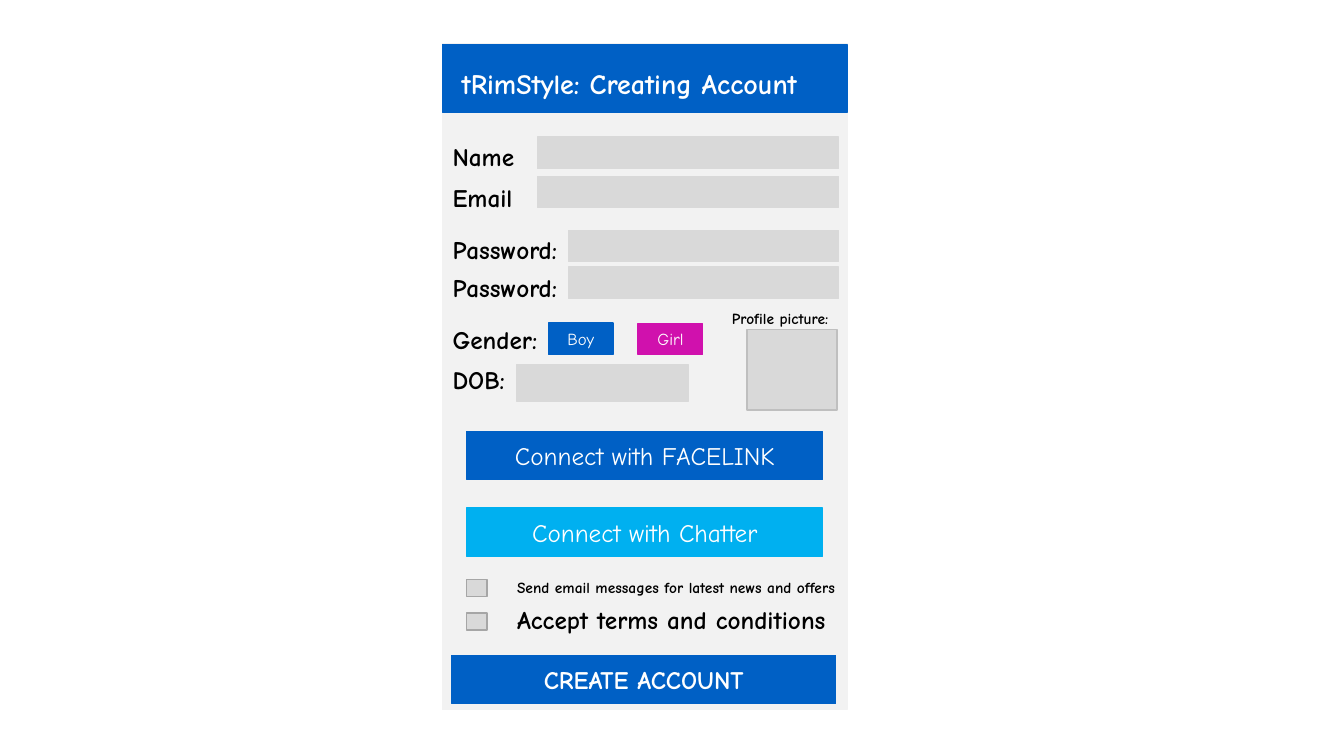
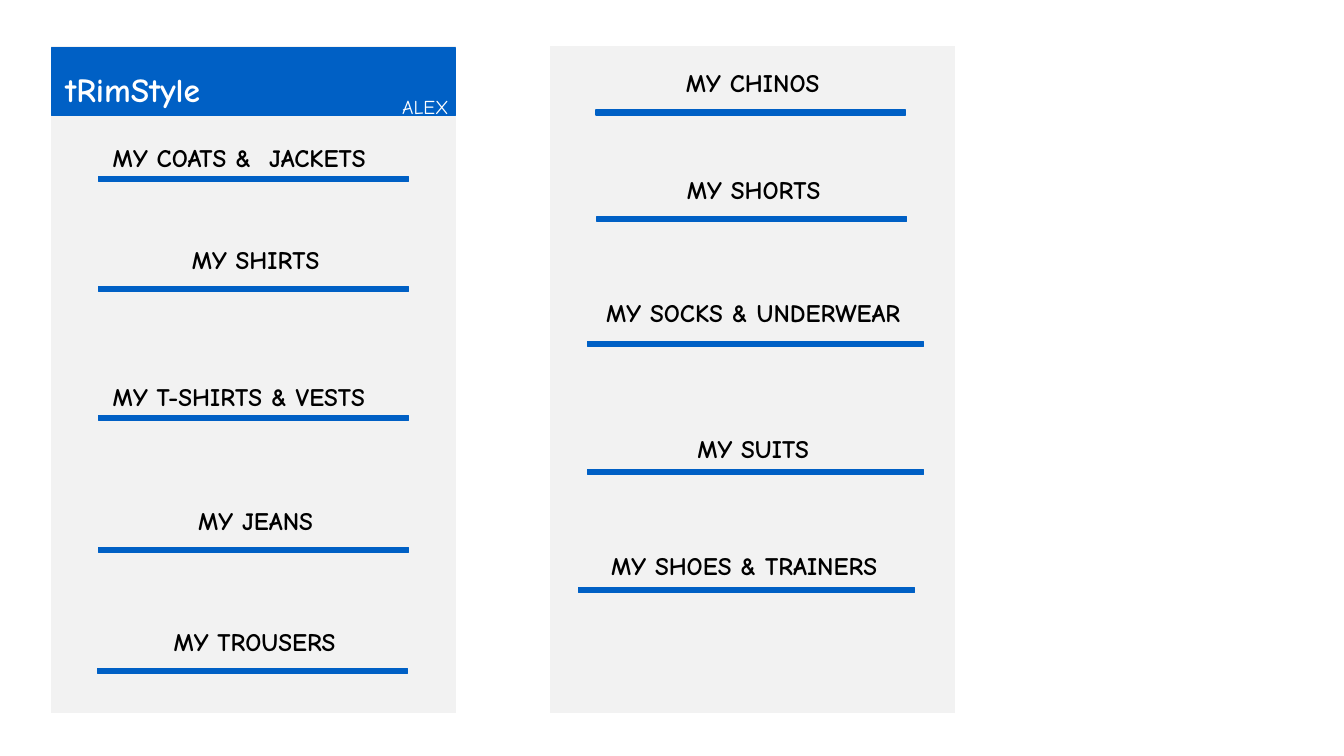
from pptx import Presentation
from pptx.dml.color import RGBColor
from pptx.enum.shapes import MSO_SHAPE as Preset
from pptx.enum.text import MSO_ANCHOR as Anchor, PP_ALIGN as Align
from pptx.util import Inches, Pt

# Shared look; every length below is in grid units of a tenth of an inch
UNIT = 0.1
FONT = "Comic Neue"
BLUE, SKY, PINK = "0060C5", "00B0F0", "D011AD"
PANEL, FIELD, WHITE, BLACK = "F2F2F2", "D9D9D9", "FFFFFF", "000000"
PANEL_WIDTH, PANEL_HEIGHT = 40.1, 66.1
APP_NAME = "tRimStyle"

# Section layouts: label shift from the bar, label width, bar width
NARROW = (0.4, 30.3, 30.7)
WIDE = (-1.2, 35.2, 33.3)


def color(hex_value):
    return RGBColor.from_string(hex_value)


def grid(*lengths):
    return [Inches(length * UNIT) for length in lengths]


def write(shape, text, size, ink, bold, align):
    paragraph = shape.text_frame.paragraphs[0]
    paragraph.alignment = align
    run = paragraph.add_run()
    run.text = text
    run.font.name = FONT
    run.font.size = Pt(size)
    run.font.bold = bold
    run.font.color.rgb = color(ink)


class Panel:
    """A phone screen whose parts are placed from its top left corner."""

    def __init__(self, slide, left, top):
        self.slide, self.left, self.top = slide, left, top
        self.block(0, 0, PANEL_WIDTH, PANEL_HEIGHT, PANEL)

    def place(self, x, y, width, height):
        return grid(self.left + x, self.top + y, width, height)

    def block(self, x, y, width, height, fill, line=None):
        shape = self.slide.shapes.add_shape(Preset.RECTANGLE, *self.place(x, y, width, height))
        shape.shadow.inherit = False
        shape.fill.solid()
        shape.fill.fore_color.rgb = color(fill)
        shape.line.color.rgb = color(line or fill)
        shape.line.width = Pt(1)
        return shape

    def button(self, x, y, width, height, fill, text, size=18, bold=False):
        shape = self.block(x, y, width, height, fill)
        shape.text_frame.vertical_anchor = Anchor.MIDDLE
        write(shape, text, size, WHITE, bold, Align.CENTER)

    def label(self, x, y, text, width=30.3, size=18, ink=BLACK, bold=True, align=Align.LEFT):
        height = 1 + size / 6
        box = self.slide.shapes.add_textbox(*self.place(x, y, width, height))
        box.text_frame.word_wrap = True
        write(box, text, size, ink, bold, align)

    def header(self, x, y, title, size):
        self.block(0, 0.15, PANEL_WIDTH, 6.7, BLUE)
        self.label(x, y, title, PANEL_WIDTH, size, WHITE)


def account_form(slide, left, top):
    form = Panel(slide, left, top)
    form.header(0.9, 1.85, f"{APP_NAME}: Creating Account", 20)

    # Labelled fields: label row, field column, field row, width, height
    right_edge = 39.25
    for text, row, field_x, field_y in (
        ("Name", 9.2, 9.4, 9.3),
        ("Email", 13.3, 9.4, 13.2),
        ("Password:", 18.5, 12.5, 18.55),
        ("Password:", 22.2, 12.5, 22.2),
    ):
        form.label(0, row, text)
        form.block(field_x, field_y, right_edge - field_x, 3.1, FIELD)

    # Gender and date of birth
    form.label(0, 27.4, "Gender:")
    form.button(10.5, 27.75, 6.4, 3.1, BLUE, "Boy", 12)
    form.button(19.4, 27.8, 6.4, 3.1, PINK, "Girl", 12)
    form.label(0, 31.4, "DOB:")
    form.block(7.3, 31.9, 17.1, 3.6, FIELD)

    # Profile picture
    form.block(30.2, 28.4, 8.9, 8, FIELD, "BFBFBF")
    form.label(27.7, 25.9, "Profile picture:", size=11)

    # Social sign-in
    form.button(2.4, 38.5, 35.3, 4.8, BLUE, "Connect with FACELINK")
    form.button(2.4, 46.1, 35.3, 4.8, SKY, "Connect with Chatter")

    # Consent
    for box_y, text_y, text, size in (
        (53.2, 52.6, "Send email messages for latest news and offers", 11),
        (56.5, 55.2, "Accept terms and conditions", 18),
    ):
        form.block(2.4, box_y, 2, 1.7, FIELD, "A6A6A6")
        form.label(6.4, text_y, text, 39, size)
    form.button(0.9, 60.7, 38.1, 4.8, BLUE, "CREATE ACCOUNT", bold=True)


def wardrobe(slide, left, top, sections):
    panel = Panel(slide, left, top)
    for text, label_y, bar_x, bar_y, layout, align in sections:
        shift, label_width, bar_width = layout
        panel.label(bar_x + shift, label_y, text, label_width, align=align)
        panel.block(bar_x, bar_y, bar_width, 0.5, BLUE)
    return panel


presentation = Presentation()
presentation.slide_width, presentation.slide_height = Inches(13.33), Inches(7.5)
blank = presentation.slide_layouts[6]

# Slide 1: sign-up form
account_form(presentation.slides.add_slide(blank), 43.9, 4.3)

# Slide 2: wardrobe categories
categories = presentation.slides.add_slide(blank)
home = wardrobe(categories, 5.1, 4.6, (
    ("MY COATS &  JACKETS", 9, 4.7, 12.9, NARROW, Align.LEFT),
    ("MY SHIRTS", 19.1, 4.7, 23.8, NARROW, Align.CENTER),
    ("MY T-SHIRTS & VESTS", 32.7, 4.7, 36.6, NARROW, Align.LEFT),
    ("MY JEANS", 45, 4.7, 49.7, NARROW, Align.CENTER),
    ("MY TROUSERS", 57, 4.6, 61.7, NARROW, Align.CENTER),
))
home.header(0.4, 1.7, APP_NAME, 24)
home.label(33.8, 4.3, "ALEX", 10.2, 14, WHITE, bold=False)
wardrobe(categories, 54.6, 4.6, (
    ("MY CHINOS", 1.6, 4.5, 6.3, NARROW, Align.CENTER),
    ("MY SHORTS", 12.2, 4.6, 16.9, NARROW, Align.CENTER),
    ("MY SOCKS & UNDERWEAR", 24.4, 3.7, 29.3, WIDE, Align.CENTER),
    ("MY SUITS", 37.9, 3.7, 42, WIDE, Align.CENTER),
    ("MY SHOES & TRAINERS", 49.5, 2.8, 53.7, WIDE, Align.CENTER),
))

presentation.save("out.pptx")
